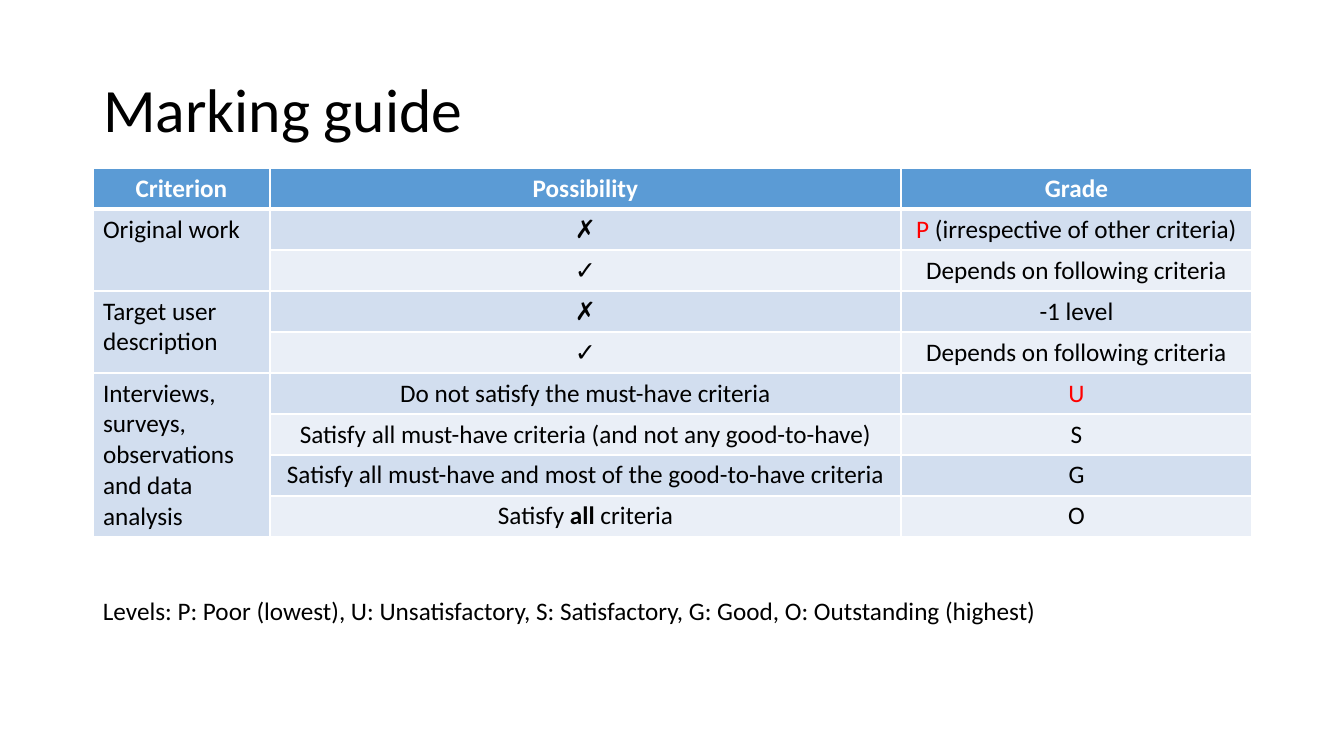
import pptx
import pptx.dml.color
import pptx.enum.text
import pptx.oxml.ns
import pptx.util
from lxml import etree

PIXEL = 914400 / 100.8
FONT = "Calibri"
BLACK, WHITE, RED = "000000", "FFFFFF", "FF0000"
HEADER_FILL, DARK_BAND, LIGHT_BAND = "5B9BD5", "D2DEEF", "EAEFF7"
LEFT = pptx.enum.text.PP_ALIGN.LEFT
CENTER = pptx.enum.text.PP_ALIGN.CENTER

COLUMN_WIDTHS = (177, 631, 351)
HEADINGS = ("Criterion", "Possibility", "Grade")
# Each criterion lists its possibilities and the grade each one leads to.
CRITERIA = [
    ("Original work", [
        ("✗", [("P", RED, False), (" (irrespective of other criteria)", BLACK, False)]),
        ("✓", "Depends on following criteria"),
    ]),
    ("Target user description", [
        ("✗", "-1 level"),
        ("✓", "Depends on following criteria"),
    ]),
    ("Interviews, surveys, observations and data analysis", [
        ("Do not satisfy the must-have criteria", [("U", RED, False)]),
        ("Satisfy all must-have criteria (and not any good-to-have)", "S"),
        ("Satisfy all must-have and most of the good-to-have criteria", "G"),
        ([("Satisfy ", BLACK, False), ("all ", BLACK, True), ("criteria", BLACK, False)], "O"),
    ]),
]
LEVELS = ("Levels: P: Poor (lowest), U: Unsatisfactory, S: Satisfactory, "
          "G: Good, O: Outstanding (highest)")


def px(length):
    return pptx.util.Emu(round(length * PIXEL))


def rgb(value):
    return pptx.dml.color.RGBColor.from_string(value)


def write(paragraph, content, size, color=BLACK, bold=False, alignment=LEFT):
    """Fill a paragraph with a string, or with (text, color, bold) runs."""
    paragraph.alignment = alignment
    paragraph.font.name = FONT
    paragraph.font.size = pptx.util.Pt(size)
    paragraph.font.bold = bold
    paragraph.font.color.rgb = rgb(color)
    if isinstance(content, str):
        paragraph.add_run().text = content
        return
    for text, run_color, run_bold in content:
        run = paragraph.add_run()
        run.text = text
        run.font.color.rgb = rgb(run_color)
        run.font.bold = run_bold


def set_borders(cell, top, bottom):
    """Draw white borders, with top and bottom widths in points."""
    properties = cell._tc.get_or_add_tcPr()
    widths = (("lnL", 1), ("lnR", 1), ("lnT", top), ("lnB", bottom))
    for position, (side, width) in enumerate(widths):
        line = etree.Element(pptx.oxml.ns.qn("a:" + side), w=str(pptx.util.Pt(width)))
        fill = etree.SubElement(line, pptx.oxml.ns.qn("a:solidFill"))
        etree.SubElement(fill, pptx.oxml.ns.qn("a:srgbClr"), val=WHITE)
        properties.insert(position, line)


def add_title(slide, left, top, width, height):
    title = slide.shapes.title
    title.left, title.top, title.width, title.height = map(px, (left, top, width, height))
    title.text_frame.vertical_anchor = pptx.enum.text.MSO_ANCHOR.MIDDLE
    paragraph = title.text_frame.paragraphs[0]
    paragraph.line_spacing = 0.9
    write(paragraph, "Marking guide", 44)


def add_marking_table(slide, left, top, width, row_height):
    row_count = 1 + sum(len(outcomes) for _, outcomes in CRITERIA)
    table = slide.shapes.add_table(row_count, len(HEADINGS), px(left), px(top),
                                   px(width), px(row_height * row_count)).table
    for column, column_width in zip(table.columns, COLUMN_WIDTHS):
        column.width = px(column_width)

    for row in range(row_count):
        for column in range(len(HEADINGS)):
            cell = table.cell(row, column)
            band = DARK_BAND if row % 2 or column == 0 else LIGHT_BAND
            cell.fill.solid()
            cell.fill.fore_color.rgb = rgb(HEADER_FILL if row == 0 else band)
            set_borders(cell, 3 if row == 1 else 1, 3 if row == 0 else 1)

    for column, heading in enumerate(HEADINGS):
        write(table.cell(0, column).text_frame.paragraphs[0], heading, 18,
              WHITE, True, CENTER)
    row = 1
    for criterion, outcomes in CRITERIA:
        first = table.cell(row, 0)
        first.merge(table.cell(row + len(outcomes) - 1, 0))
        write(first.text_frame.paragraphs[0], criterion, 18)
        for outcome in outcomes:
            for column, content in enumerate(outcome, start=1):
                write(table.cell(row, column).text_frame.paragraphs[0], content, 18,
                      alignment=CENTER)
            row += 1


def add_levels(slide, left, top, width, height):
    box = slide.shapes.add_textbox(px(left), px(top), px(width), px(height))
    box.text_frame.word_wrap = True
    write(box.text_frame.paragraphs[0], LEVELS, 18)


def main():
    presentation = pptx.Presentation()
    presentation.slide_width, presentation.slide_height = px(1344), px(756)
    slide = presentation.slides.add_slide(presentation.slide_layouts.get_by_name("Title Only"))
    add_title(slide, 93, 40, 1159, 146)
    add_marking_table(slide, 93, 168, sum(COLUMN_WIDTHS), 41)
    add_levels(slide, 93, 590, 1005, 72)
    presentation.save("out.pptx")


if __name__ == "__main__":
    main()
